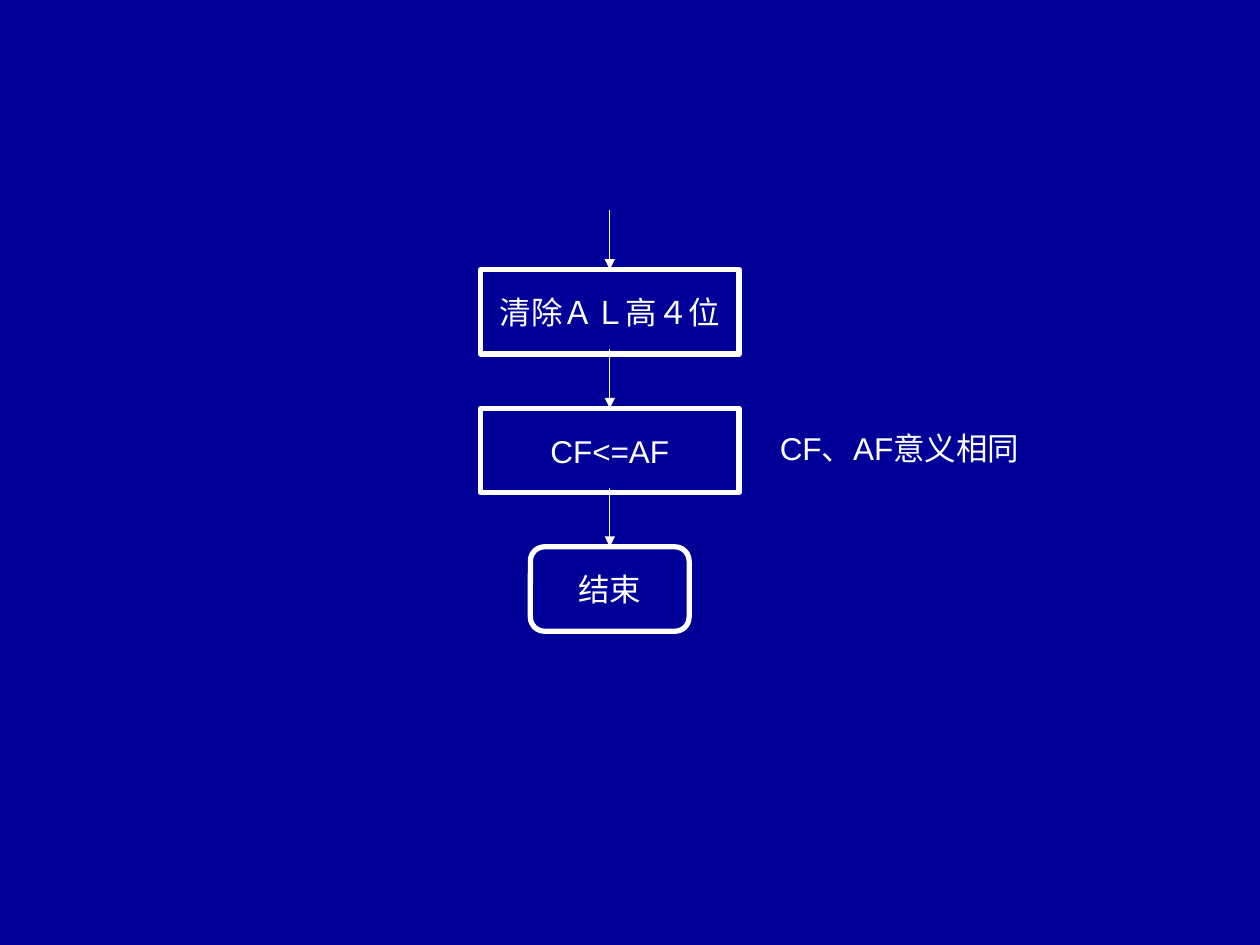
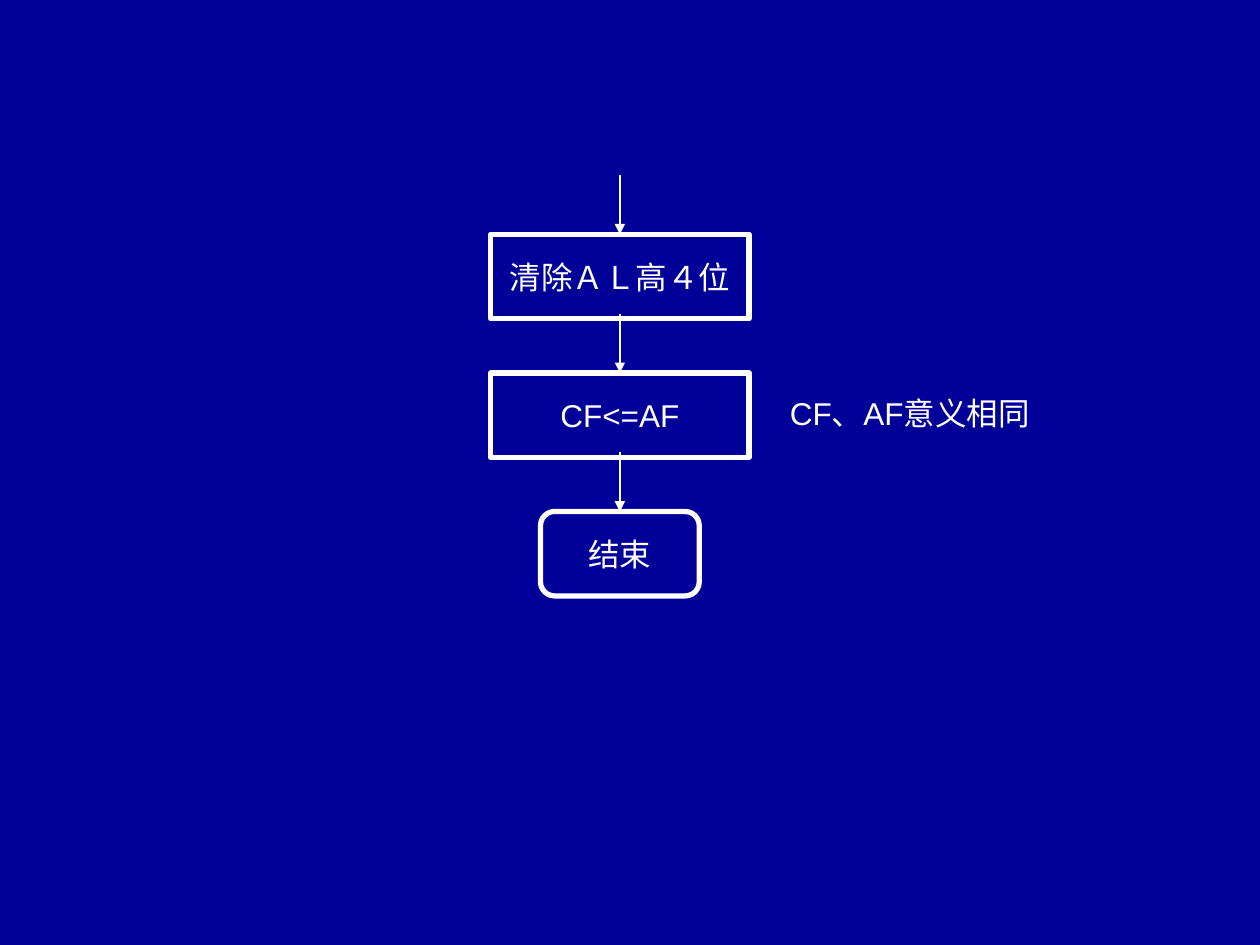
from dataclasses import dataclass

from lxml.etree import SubElement
from pptx import Presentation
from pptx.dml.color import RGBColor
from pptx.enum.shapes import MSO_CONNECTOR as Connector, MSO_SHAPE as Preset
from pptx.enum.text import MSO_ANCHOR as Anchor, MSO_AUTO_SIZE as AutoSize, PP_ALIGN as Align
from pptx.oxml.ns import qn
from pptx.shapes.shapetree import GroupShapes
from pptx.slide import Slide
from pptx.text.text import TextFrame
from pptx.util import Inches, Pt

# Shared look
NAVY = RGBColor(0x00, 0x00, 0x99)
WHITE = RGBColor(0xFF, 0xFF, 0xFF)
FONT_FORMAT = {"name": "Arial", "size": Pt(18)}
BOX_LINE = Pt(3)
ARROW_LINE = Pt(0.75)

# Flowchart grid
STEP_HEIGHT = Inches(0.67)
STEP_PITCH = Inches(1.1)
ARROW_LENGTH = Inches(0.47)
NOTE_OFFSET = Inches(1.25)
NOTE_DROP = Inches(0.12)
NOTE_SIZE = Inches(2.28), Inches(0.4)


@dataclass(frozen=True)
class Step:
    text: str
    width: int
    preset: Preset = Preset.FLOWCHART_PROCESS
    note: str = ""


@dataclass(frozen=True)
class Flow:
    center: int
    top: int


STEPS = (
    Step("清除ＡＬ高４位", Inches(2.05)),
    Step("CF<=AF", Inches(2.05), note="CF、AF意义相同"),
    Step("结束", Inches(1.26), Preset.FLOWCHART_ALTERNATE_PROCESS),
)
FLOWS = (
    Flow(Inches(4.84), Inches(2.14)),
    Flow(Inches(4.92), Inches(1.86)),
)


def write_text(frame: TextFrame, text: str, align: Align, anchor: Anchor) -> None:
    frame.word_wrap = False
    frame.vertical_anchor = anchor
    para = frame.paragraphs[0]
    para.alignment = align
    span = para.add_run()
    span.text = text
    for name, value in FONT_FORMAT.items():
        setattr(span.font, name, value)
    span.font.color.rgb = WHITE


def draw_step(shapes: GroupShapes, step: Step, center: int, top: int) -> None:
    box = shapes.add_shape(step.preset, center - step.width // 2, top, step.width, STEP_HEIGHT)
    box.shadow.inherit = False
    box.fill.background()
    box.line.color.rgb = WHITE
    box.line.width = BOX_LINE
    write_text(box.text_frame, step.text, Align.CENTER, Anchor.MIDDLE)


def draw_arrow(shapes: GroupShapes, center: int, tip: int) -> None:
    arrow = shapes.add_connector(Connector.STRAIGHT, center, tip - ARROW_LENGTH, center, tip)
    arrow.line.color.rgb = WHITE
    arrow.line.width = ARROW_LINE
    SubElement(arrow.line._get_or_add_ln(), qn("a:tailEnd"), type="triangle")
    SubElement(arrow._element.spPr, qn("a:effectLst"))


def draw_note(page: Slide, text: str, left: int, top: int) -> None:
    box = page.shapes.add_textbox(left, top, *NOTE_SIZE)
    write_text(box.text_frame, text, Align.LEFT, Anchor.TOP)
    box.text_frame.auto_size = AutoSize.SHAPE_TO_FIT_TEXT


def draw_flow(page: Slide, flow: Flow) -> None:
    chart = page.shapes.add_group_shape()
    for index, step in enumerate(STEPS):
        top = flow.top + index * STEP_PITCH
        draw_arrow(chart.shapes, flow.center, top)
        draw_step(chart.shapes, step, flow.center, top)
        if step.note:
            draw_note(page, step.note, flow.center + NOTE_OFFSET, top + NOTE_DROP)


def main() -> None:
    deck = Presentation()
    deck.slide_width, deck.slide_height = Inches(10), Inches(7.5)
    background = deck.slide_master.background.fill
    background.solid()
    background.fore_color.rgb = NAVY
    blank = deck.slide_layouts.get_by_name("Blank")
    for flow in FLOWS:
        draw_flow(deck.slides.add_slide(blank), flow)
    deck.save("out.pptx")


if __name__ == "__main__":
    main()
